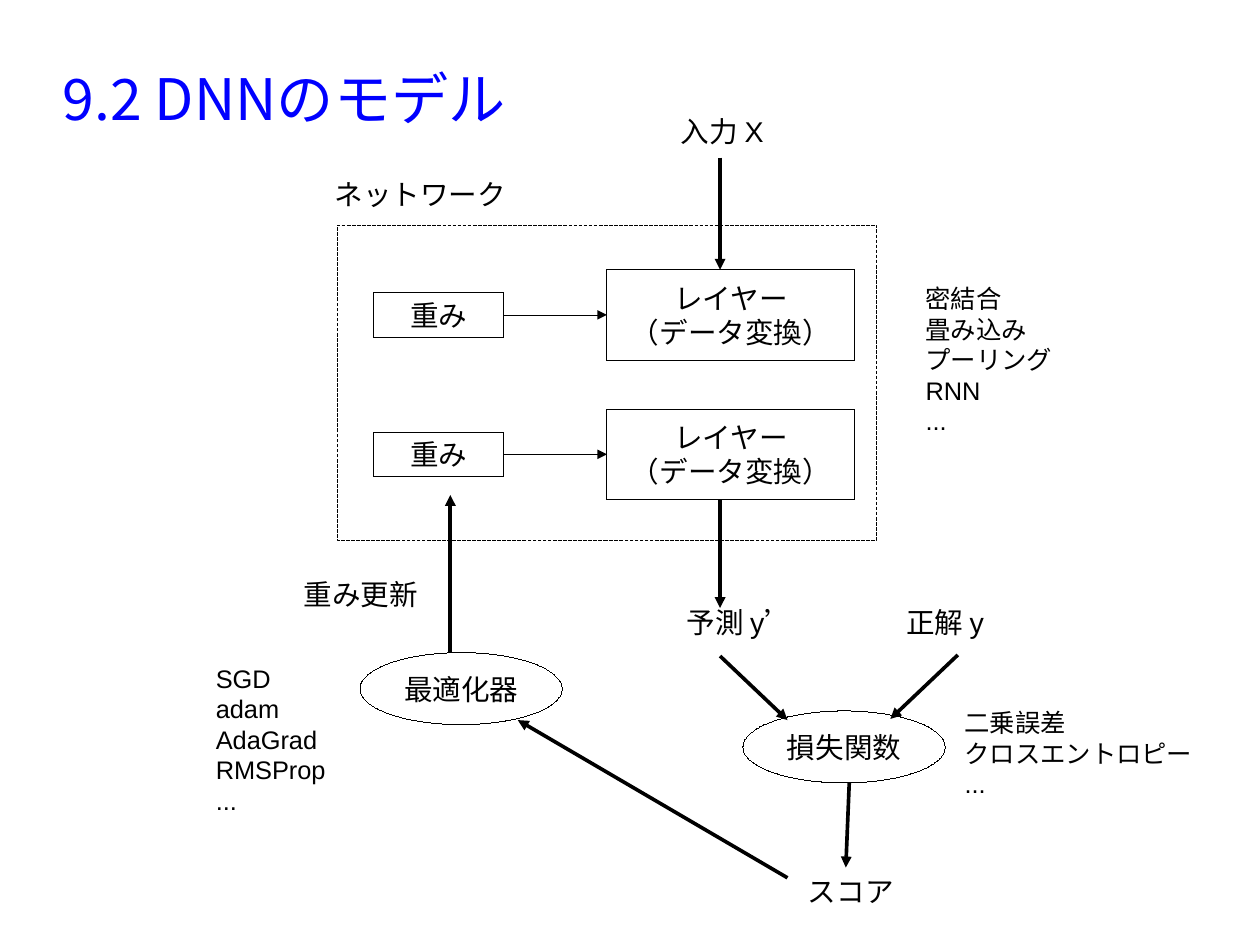
from dataclasses import dataclass
from lxml.etree import SubElement as Sub
from pptx import Presentation
from pptx.dml.color import RGBColor as Rgb
from pptx.enum.dml import MSO_LINE as Dash
from pptx.enum.shapes import MSO_CONNECTOR as Conn, MSO_SHAPE as Kind
from pptx.enum.text import MSO_ANCHOR as Anchor, MSO_AUTO_SIZE as Auto, PP_ALIGN as Align
from pptx.oxml.ns import qn
from pptx.util import Inches, Pt

COLORS = {"ink": "000000", "title": "0000FF"}
LATIN, ASIAN = "Arial", "Noto Sans CJK JP"
FRAME = {"word_wrap": False, "vertical_anchor": Anchor.MIDDLE, "auto_size": Auto.NONE}
NOTE = {"word_wrap": True, "vertical_anchor": Anchor.TOP, "auto_size": Auto.NONE}
TITLE = {**NOTE, "vertical_anchor": Anchor.MIDDLE, "margin_left": 0,
         "margin_right": 0, "margin_top": 0, "margin_bottom": 0}


@dataclass
class Node:
    kind: Kind
    box: tuple
    text: str = ""
    width: float = 0


@dataclass
class Note:
    box: tuple
    text: str
    size: int = 18
    wrap: bool = True


@dataclass
class Arrow:
    start: tuple
    end: tuple
    width: float = 2.3


def ink(name: str) -> Rgb:
    return Rgb.from_string(COLORS[name])


def write(frame, text: str, style: dict, size: int, align=Align.LEFT,
          face: str = LATIN, color: str = "ink") -> None:
    for key, value in style.items():
        setattr(frame, key, value)
    frame.text = text
    for para in frame.paragraphs:
        para.alignment = align
        for run in para.runs:
            for key, value in {"size": Pt(size), "name": face}.items():
                setattr(run.font, key, value)
            run.font.color.rgb = ink(color)
            Sub(run.font._element, qn("a:ea"), typeface=ASIAN)


def outline(shape, width: float) -> None:
    shape._element.remove(shape._element.find(qn("p:style")))
    shape.line.color.rgb = ink("ink")
    shape.line.width = Pt(width)


def add_node(slide, node: Node):
    shape = slide.shapes.add_shape(node.kind, *map(Inches, node.box))
    shape.shadow.inherit = False
    shape.fill.background()
    outline(shape, node.width)
    if node.text:
        write(shape.text_frame, node.text, FRAME, 18, Align.CENTER)
    return shape


def add_note(slide, note: Note) -> None:
    box = slide.shapes.add_textbox(*map(Inches, note.box))
    write(box.text_frame, note.text, {**NOTE, "word_wrap": note.wrap}, note.size)


def add_arrow(slide, arrow: Arrow):
    ends = map(Inches, arrow.start + arrow.end)
    link = slide.shapes.add_connector(Conn.STRAIGHT, *ends)
    outline(link, arrow.width)
    Sub(link.line._get_or_add_ln(), qn("a:tailEnd"), type="triangle")
    Sub(link._element.spPr, qn("a:effectLst"))
    return link


NOTES = [
    Note((2.83, 1.5, 1.7, 0.47), "ネットワーク", wrap=False),
    Note((5.86, 0.95, 1.03, 0.47), "入力 X"),
    Note((5.91, 5.24, 1.3, 0.47), "予測 y’"),
    Note((7.83, 5.24, 1.18, 0.47), "正解 y"),
    Note((6.97, 7.6, 1.18, 0.47), "スコア"),
    Note((2.56, 5, 1.26, 0.51), "重み更新"),
    Note((8, 2.43, 1.31, 1.59), "密結合\n畳み込み\nプーリング\nRNN\n...", 16, False),
    Note((8.34, 6.14, 2.19, 1.01), "二乗誤差\nクロスエントロピー\n...", 16, False),
    Note((1.79, 5.75, 1.16, 1.33), "SGD\nadam\nAdaGrad\nRMSProp\n...", 16, False),
]
OVALS = [
    Node(Kind.OVAL, (6.5, 6.22, 1.77, 0.63), "損失関数"),
    Node(Kind.OVAL, (3.15, 5.71, 1.77, 0.63), "最適化器"),
]
ARROWS = [
    Arrow((6.3, 1.38), (6.3, 2.36)),
    Arrow((6.3, 4.37), (6.3, 5.32)),
    Arrow((6.3, 5.74), (6.89, 6.3)),
    Arrow((8.38, 5.73), (7.79, 6.29)),
    Arrow((7.43, 6.85), (7.4, 7.59)),
    Arrow((6.89, 7.68), (4.53, 6.3)),
    Arrow((3.94, 5.7), (3.94, 4.33)),
]


def main() -> None:
    deck = Presentation()
    deck.slide_width, deck.slide_height = Inches(28 / 2.54), Inches(21 / 2.54)
    slide = deck.slides.add_slide(deck.slide_layouts[5])
    title = slide.shapes.title
    place = dict(zip(("left", "top", "width", "height"), (0.55, 0.33, 9.92, 1.05)))
    for key, value in place.items():
        setattr(title, key, Inches(value))
    write(title.text_frame, "9.2 DNNのモデル", TITLE, 36, face=ASIAN, color="title")

    for top in (2.36, 3.58):
        layer = add_node(slide, Node(Kind.RECTANGLE, (5.31, top, 2.17, 0.79),
                                     "レイヤー\n（データ変換）"))
        weight = add_node(slide, Node(Kind.RECTANGLE, (3.27, top + 0.2, 1.14, 0.39), "重み"))
        link = add_arrow(slide, Arrow((4.41, top + 0.4), (5.31, top + 0.4), 0))
        link.begin_connect(weight, 3)
        link.end_connect(layer, 1)

    net = add_node(slide, Node(Kind.RECTANGLE, (2.95, 1.97, 4.72, 2.76), width=0.79))
    net.line.dash_style = Dash.SQUARE_DOT
    for oval in OVALS:
        add_node(slide, oval)
    for note in NOTES:
        add_note(slide, note)
    for arrow in ARROWS:
        add_arrow(slide, arrow)
    deck.save("out.pptx")


if __name__ == "__main__":
    main()
